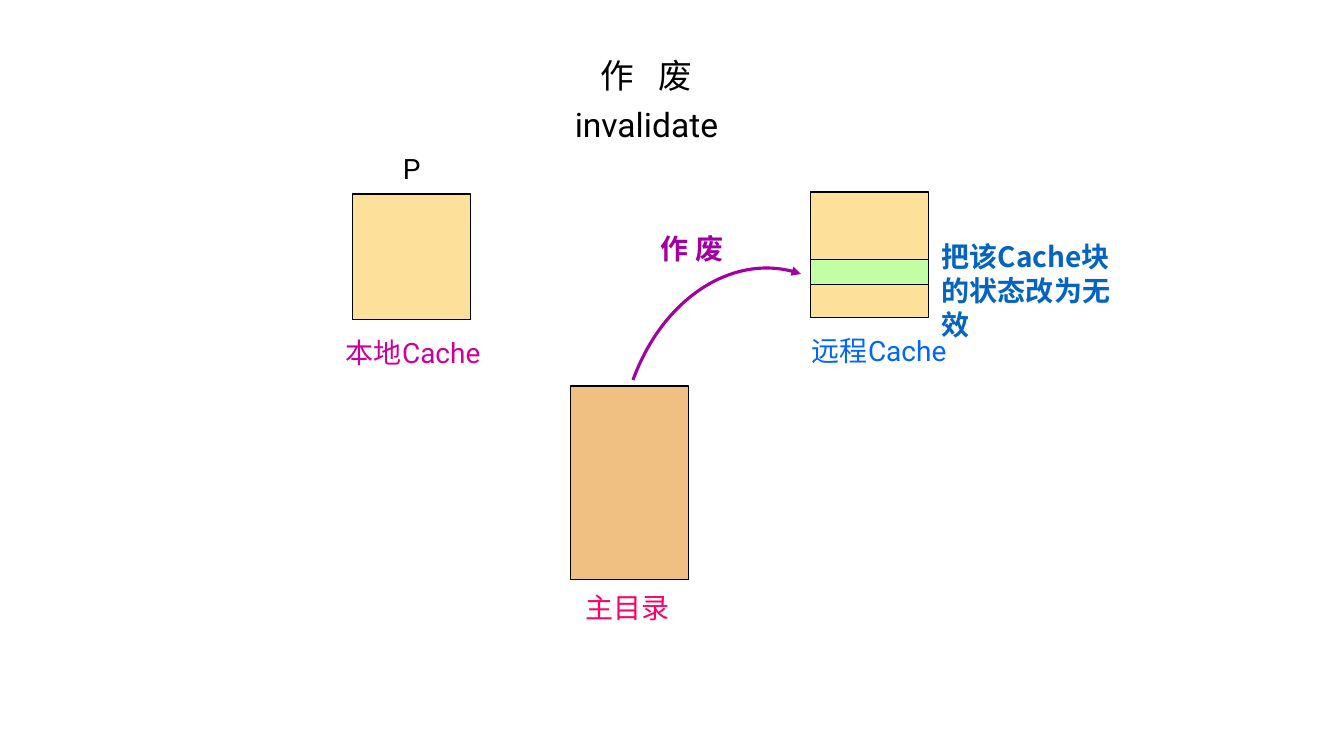
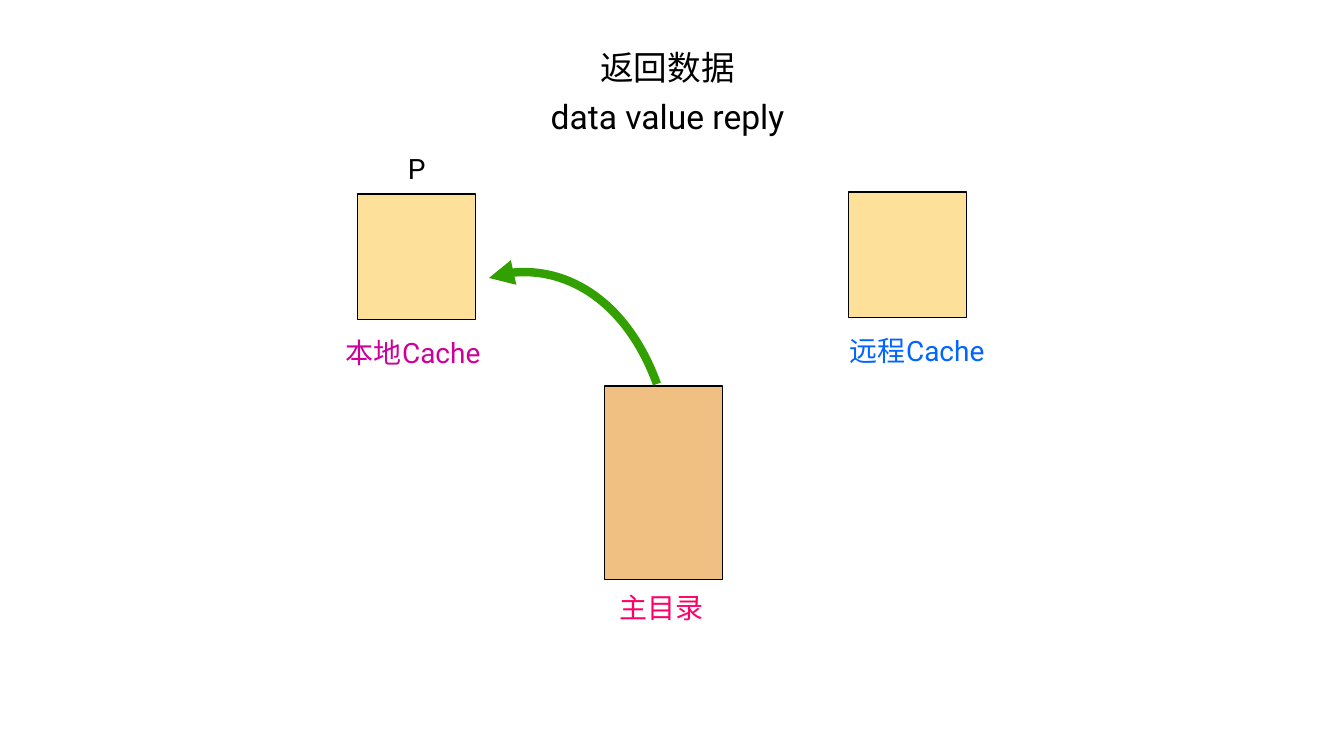
"""Build two slides on cache coherence messages: invalidate and data value reply."""
from lxml import etree
from pptx import Presentation
from pptx.dml.color import RGBColor
from pptx.enum.shapes import MSO_SHAPE
from pptx.enum.text import MSO_ANCHOR, MSO_AUTO_SIZE, PP_ALIGN
from pptx.oxml.ns import qn
from pptx.util import Pt

RECT = MSO_SHAPE.RECTANGLE
TOP = MSO_ANCHOR.TOP
NO_FIT = MSO_AUTO_SIZE.NONE
LEFT, CENTER = PP_ALIGN.LEFT, PP_ALIGN.CENTER

PX = 9072
SLIDE_W, SLIDE_H = 1344, 756
CACHE_W, CACHE_H, MAIN_H = 118, 126, 194
LOCAL_Y, REMOTE_Y, MAIN_Y = 194, 192, 386

THEME = {
    "font": "Roboto", "cjk": "Noto Sans CJK SC",
    "title_pt": 24, "label_pt": 20, "gap_pt": 6, "edge_pt": 0.75,
    "black": "000000", "cache": "FDE19B", "main": "EFC081", "block": "C1FEA6",
    "local": "CD009B", "remote": "0066FF", "directory": "FF0066",
    "invalidate": "A200A2", "reply": "33A002", "note": "0563C1",
}

SLIDES = [
    {
        "title": ["作 废", "invalidate"], "title_box": (537, 50, 219, 100),
        "title_spread": 600,
        "local_x": 353, "main_x": 571, "remote_x": 811,
        "block": (811, 260, CACHE_W, 25),
        "curve": [(633, 380), (663, 298), (738, 251), (801, 274)],
        "curve_color": "invalidate", "curve_pt": 2.25,
        "notes": [
            ("作 废", (651, 227, 101, 43), "invalidate", {"bold": True}),
            ("把该Cache块的状态改为无效", (932, 235, 210, 78), "note",
             {"bold": True, "name": THEME["cjk"]}),
        ],
    },
    {
        "title": ["返回数据", "data value reply"], "title_box": (529, 42, 277, 100),
        "title_spread": 0,
        "local_x": 358, "main_x": 605, "remote_x": 849,
        "block": None,
        "curve": [(657, 384), (627, 302), (551, 255), (489, 278)],
        "curve_color": "reply", "curve_pt": 6,
        "notes": [],
    },
]


def rgb(key):
    """Return a theme colour."""
    return RGBColor.from_string(THEME[key])


def emu(box):
    """Turn pixel lengths into EMU."""
    return [v * PX for v in box]


def assign(obj, values):
    """Set the attributes of an object from a dict."""
    for name, value in values.items():
        setattr(obj, name, value)


def write(tf, lines, size, color, align=LEFT, font=None, para=None):
    """Fill a text frame with one formatted paragraph per line."""
    assign(tf, {"word_wrap": True, "auto_size": NO_FIT, "vertical_anchor": TOP})
    for i, line in enumerate(lines):
        p = tf.add_paragraph() if i else tf.paragraphs[0]
        assign(p, {"alignment": align, "space_before": Pt(THEME["gap_pt"] if i else 0)})
        assign(p, para or {})
        r = p.add_run()
        r.text = line
        assign(r.font, {"name": THEME["font"], "size": Pt(size), "bold": False})
        assign(r.font, font or {})
        r.font.color.rgb = rgb(color)


def add_label(slide, text, box, color, font=None, para=None):
    """Add a one-paragraph text box."""
    sp = slide.shapes.add_textbox(*emu(box))
    write(sp.text_frame, [text], THEME["label_pt"], color, font=font, para=para)


def add_box(slide, box, fill):
    """Add an outlined rectangle."""
    sp = slide.shapes.add_shape(RECT, *emu(box))
    sp.shadow.inherit = False
    sp.fill.solid()
    sp.fill.fore_color.rgb = rgb(fill)
    sp.line.color.rgb = rgb("black")
    sp.line.width = Pt(THEME["edge_pt"])


def add_curve(slide, points, color, width):
    """Add a Bézier arrow from the first point to the last."""
    builder = slide.shapes.build_freeform(*points[0], scale=PX)
    builder.add_line_segments(points[1:], close=False)
    sp = builder.convert_to_shape()
    geometry = sp.element.find(".//" + qn("a:path"))
    segments = geometry.findall(qn("a:lnTo"))
    bezier = etree.SubElement(geometry, qn("a:cubicBezTo"))
    for segment in segments:
        bezier.append(segment[0])
        geometry.remove(segment)
    sp.shadow.inherit = False
    sp.fill.background()
    sp.line.color.rgb = rgb(color)
    sp.line.width = Pt(width)
    ln = sp.element.spPr.find(qn("a:ln"))
    etree.SubElement(ln, qn("a:tailEnd"), type="triangle")


def add_title(slide, lines, box, spread):
    """Place the two-line title and spread the letters of its first line."""
    sp = slide.shapes.title
    assign(sp, dict(zip(("left", "top", "width", "height"), emu(box))))
    write(sp.text_frame, lines, THEME["title_pt"], "black", CENTER)
    if spread:
        r = sp.text_frame.paragraphs[0].runs[0]
        r.font._element.set("spc", str(spread))


def build_slide(prs, data):
    """Draw the caches, the directory and the message between them."""
    slide = prs.slides.add_slide(prs.slide_layouts[5])
    add_title(slide, data["title"], data["title_box"], data["title_spread"])
    local_x, main_x, remote_x = data["local_x"], data["main_x"], data["remote_x"]

    add_box(slide, (local_x, LOCAL_Y, CACHE_W, CACHE_H), "cache")
    add_box(slide, (main_x, MAIN_Y, CACHE_W, MAIN_H), "main")
    add_box(slide, (remote_x, REMOTE_Y, CACHE_W, CACHE_H), "cache")
    if data["block"]:
        add_box(slide, data["block"], "block")

    add_label(slide, "P", (local_x + 40, 147, 50, 43), "black")
    add_label(slide, "本地Cache", (336, 331, 184, 43), "local")
    add_label(slide, "远程Cache", (remote_x - 9, 329, 176, 43), "remote")
    add_label(slide, "主目录", (main_x + 5, 589, 143, 40), "directory",
              para={"line_spacing": 0.9})
    add_curve(slide, data["curve"], data["curve_color"], data["curve_pt"])
    for text, box, color, font in data["notes"]:
        add_label(slide, text, box, color, font)


def main():
    """Build and save the presentation."""
    prs = Presentation()
    assign(prs, {"slide_width": SLIDE_W * PX, "slide_height": SLIDE_H * PX})
    for data in SLIDES:
        build_slide(prs, data)
    prs.save("out.pptx")


if __name__ == "__main__":
    main()
